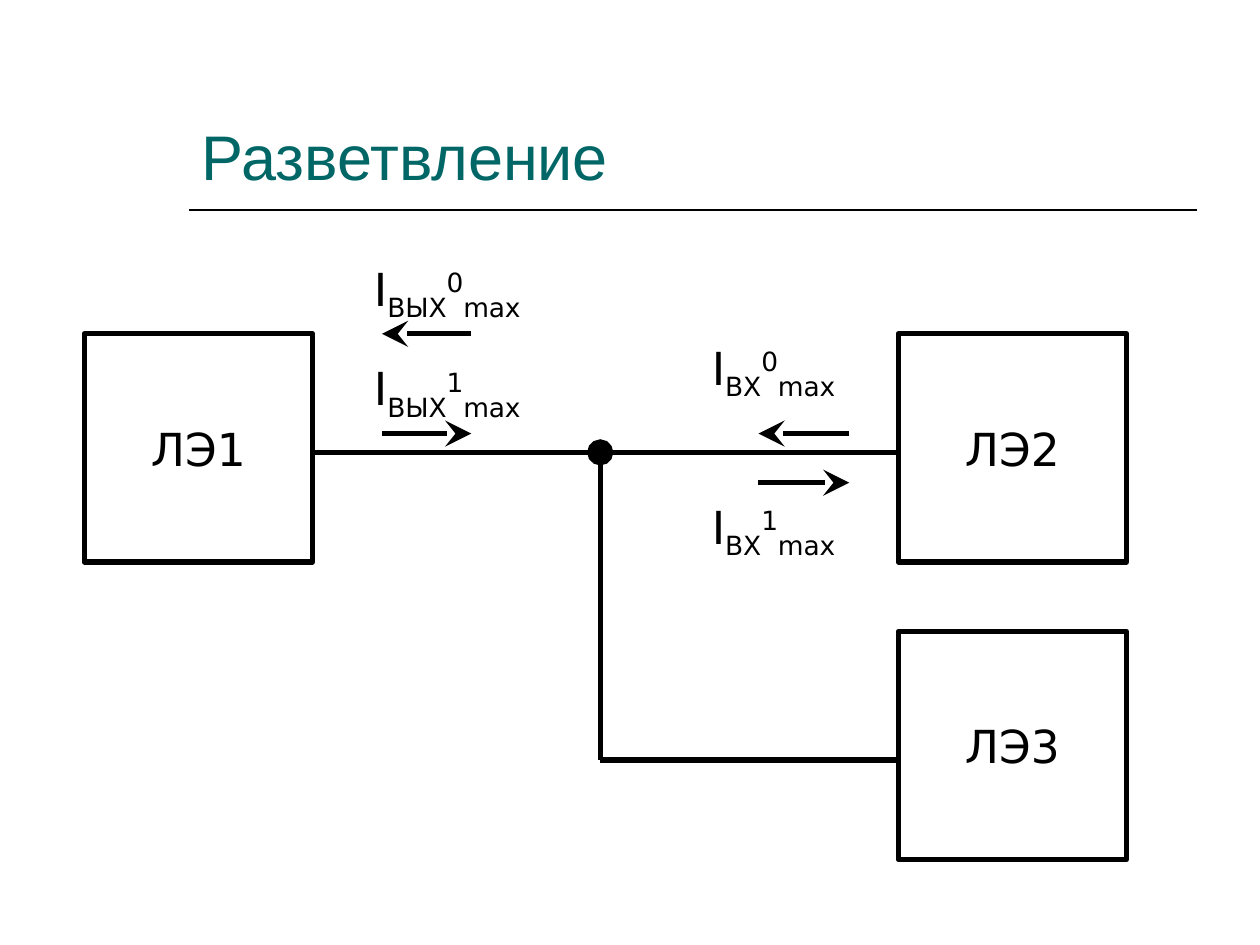
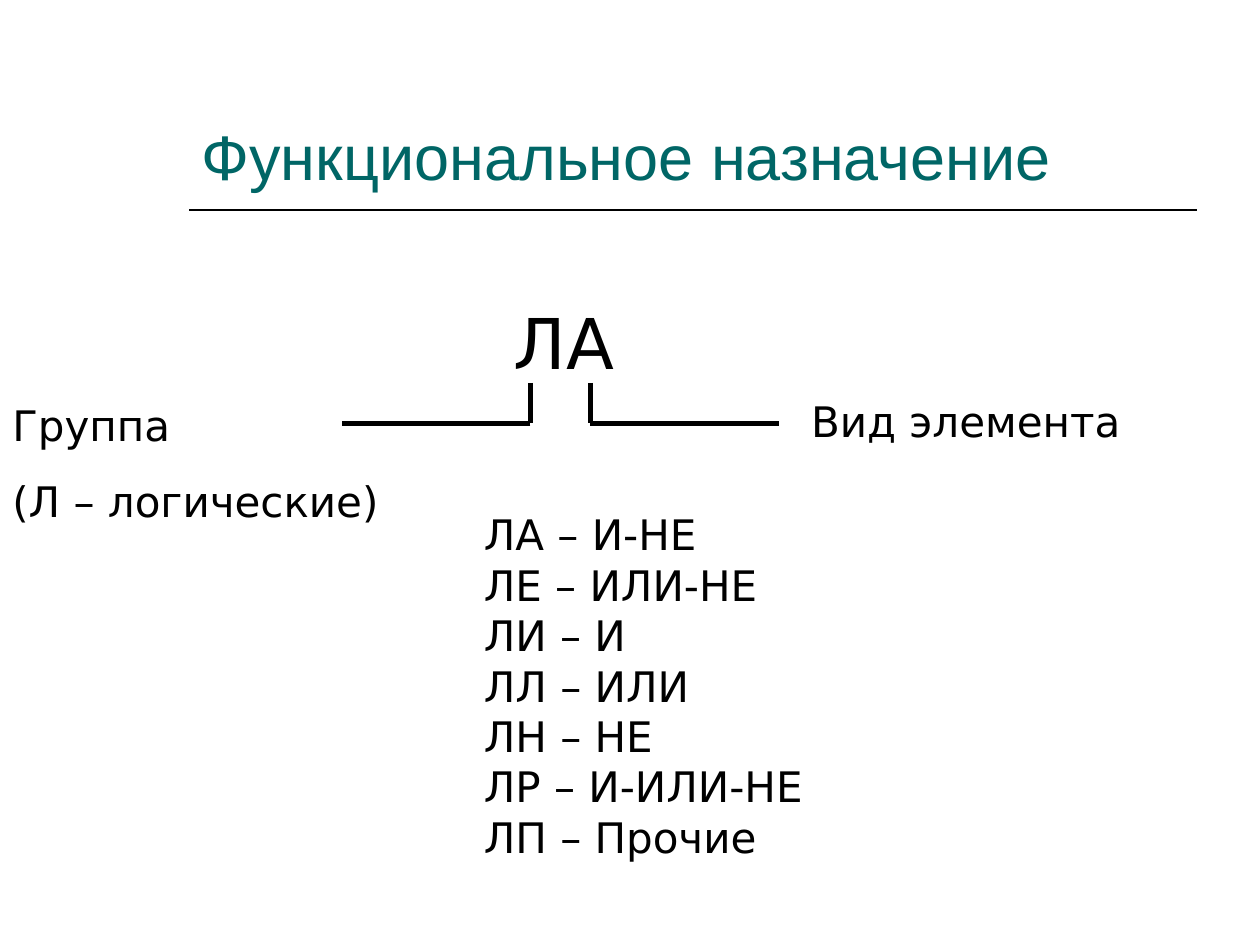
"""Build two slides on logic elements: fan-out and functional designation."""
from lxml.etree import SubElement
from pptx import Presentation
from pptx.dml.color import RGBColor
from pptx.enum.shapes import MSO_CONNECTOR, MSO_SHAPE
from pptx.enum.text import MSO_ANCHOR, PP_ALIGN
from pptx.oxml.ns import qn
from pptx.util import Cm, Pt

COLORS = {"title": "006666", "ink": "000000", "paper": "FFFFFF"}
TITLE_FONT, BODY_FONT = "Arial", "DejaVu Sans"
TITLE_ONLY, TITLE_AND_BODY = 5, 1

FANOUT_TITLE = "Разветвление"
ELEMENT_SIZE = 4.6
ELEMENTS = [("ЛЭ1", 1.7, 6.73), ("ЛЭ2", 18.11, 6.73), ("ЛЭ3", 18.11, 12.73)]
WIRE_Y, NODE_X, BRANCH_Y = 9.12, 12.1, 15.32
CURRENTS = [
    ("ВЫХ", "0", 7.29, 5.13, 4.39),
    ("ВЫХ", "1", 7.29, 7.14, 4.39),
    ("ВХ", "0", 14.1, 6.73, 3.61),
    ("ВХ", "1", 14.1, 9.93, 3.61),
]
FLOWS = [(9.5, 7.7, 6.73), (7.7, 9.5, 8.74), (17.12, 15.29, 8.74), (15.29, 17.12, 9.73)]

PURPOSE_TITLE = "Функциональное назначение"
CODE = "ЛА"
GROUP = ["Группа", "(Л – логические)"]
KIND = "Вид элемента"
KINDS = [("ЛА", "И-НЕ"), ("ЛЕ", "ИЛИ-НЕ"), ("ЛИ", "И"), ("ЛЛ", "ИЛИ"),
         ("ЛН", "НЕ"), ("ЛР", "И-ИЛИ-НЕ"), ("ЛП", "Прочие")]
CALLOUT_TOP, CALLOUT_BOTTOM, CALLOUT_LENGTH = 7.72, 8.53, 3.8
CALLOUTS = [(10.69, -1), (11.9, 1)]


def color(name):
    return RGBColor.from_string(COLORS[name])


def style(paragraph, size, font=BODY_FONT, ink="ink"):
    for run in paragraph.runs:
        run.font.size = Pt(size)
        run.font.name = font
        run.font.color.rgb = color(ink)


def place(shape, left, top, width, height):
    shape.left, shape.top, shape.width, shape.height = map(Cm, (left, top, width, height))


def add_line(slide, start, end, width=3, tip=None):
    line = slide.shapes.add_connector(MSO_CONNECTOR.STRAIGHT, *map(Cm, (*start, *end)))
    line.line.color.rgb = color("ink")
    line.line.width = Pt(width)
    if tip:
        SubElement(line.line._get_or_add_ln(), qn("a:tailEnd"), type=tip, w="lg", len="lg")
    SubElement(line._element.spPr, qn("a:effectLst"))


def add_text(slide, lines, left, top, width, height, size, gap=0):
    frame = slide.shapes.add_textbox(*map(Cm, (left, top, width, height))).text_frame
    frame.word_wrap = True
    frame.text = "\n".join(lines)
    for index, paragraph in enumerate(frame.paragraphs):
        if index:
            paragraph.space_before = Pt(gap)
        style(paragraph, size)


def add_element(slide, name, left, top):
    element = slide.shapes.add_shape(
        MSO_SHAPE.RECTANGLE, *map(Cm, (left, top, ELEMENT_SIZE, ELEMENT_SIZE)))
    element.shadow.inherit = False
    element.fill.solid()
    element.fill.fore_color.rgb = color("paper")
    element.line.color.rgb = color("ink")
    element.line.width = Pt(3)
    frame = element.text_frame
    frame.word_wrap = False
    frame.vertical_anchor = MSO_ANCHOR.MIDDLE
    frame.text = name
    frame.paragraphs[0].alignment = PP_ALIGN.CENTER
    style(frame.paragraphs[0], 26)


def add_current(slide, side, level, left, top, width):
    frame = slide.shapes.add_textbox(*map(Cm, (left, top, width, 1.52))).text_frame
    frame.word_wrap = True
    paragraph = frame.paragraphs[0]
    for text, baseline in [("I", 0), (side, -25000), (level, 30000), ("max", -25000)]:
        run = paragraph.add_run()
        run.text = text
        if baseline:
            run._r.get_or_add_rPr().set("baseline", str(baseline))
    style(paragraph, 26)


def add_slide(deck, layout, heading):
    slide = deck.slides.add_slide(deck.slide_layouts[layout])
    title = slide.shapes.title
    place(title, 3.81, 0.84, 20.32, 3.18)
    frame = title.text_frame
    frame.text = heading
    frame.vertical_anchor = MSO_ANCHOR.BOTTOM
    frame.paragraphs[0].alignment = PP_ALIGN.LEFT
    style(frame.paragraphs[0], 36, TITLE_FONT, "title")
    add_line(slide, (3.81, 4.24), (24.13, 4.24), width=1)
    return slide


def build_fanout(deck):
    slide = add_slide(deck, TITLE_ONLY, FANOUT_TITLE)
    for element in ELEMENTS:
        add_element(slide, *element)
    output_x, input_x = ELEMENTS[0][1] + ELEMENT_SIZE, ELEMENTS[1][1]
    add_line(slide, (output_x, WIRE_Y), (input_x, WIRE_Y))
    add_line(slide, (NODE_X, BRANCH_Y), (NODE_X, WIRE_Y), tip="oval")
    add_line(slide, (NODE_X, BRANCH_Y), (input_x, BRANCH_Y))
    for start, end, y in FLOWS:
        add_line(slide, (start, y), (end, y), tip="stealth")
    for current in CURRENTS:
        add_current(slide, *current)


def build_purpose(deck):
    slide = add_slide(deck, TITLE_AND_BODY, PURPOSE_TITLE)
    add_text(slide, [CODE], 10.11, 5.92, 8.2, 1.96, 40)
    add_text(slide, GROUP, 0, 7.92, 8.1, 2.82, 24, gap=15)
    add_text(slide, [KIND], 16.1, 7.85, 8.1, 1.27, 24)
    for x, side in CALLOUTS:
        add_line(slide, (x, CALLOUT_TOP), (x, CALLOUT_BOTTOM))
        add_line(slide, (x, CALLOUT_BOTTOM), (x + side * CALLOUT_LENGTH, CALLOUT_BOTTOM))
    kinds = slide.placeholders[1]
    place(kinds, 9.5, 10.13, 8.1, 7.37)
    kinds.text_frame.text = "\n".join(f"{code} – {meaning}" for code, meaning in KINDS)
    for paragraph in kinds.text_frame.paragraphs:
        properties = paragraph._p.get_or_add_pPr()
        properties.set("marL", "0")
        properties.set("indent", "0")
        SubElement(properties, qn("a:buNone"))
        paragraph.space_before = Pt(0)
        style(paragraph, 24)


def main():
    deck = Presentation()
    deck.slide_width, deck.slide_height = Cm(25.4), Cm(19.05)
    build_fanout(deck)
    build_purpose(deck)
    deck.save("out.pptx")


if __name__ == "__main__":
    main()
